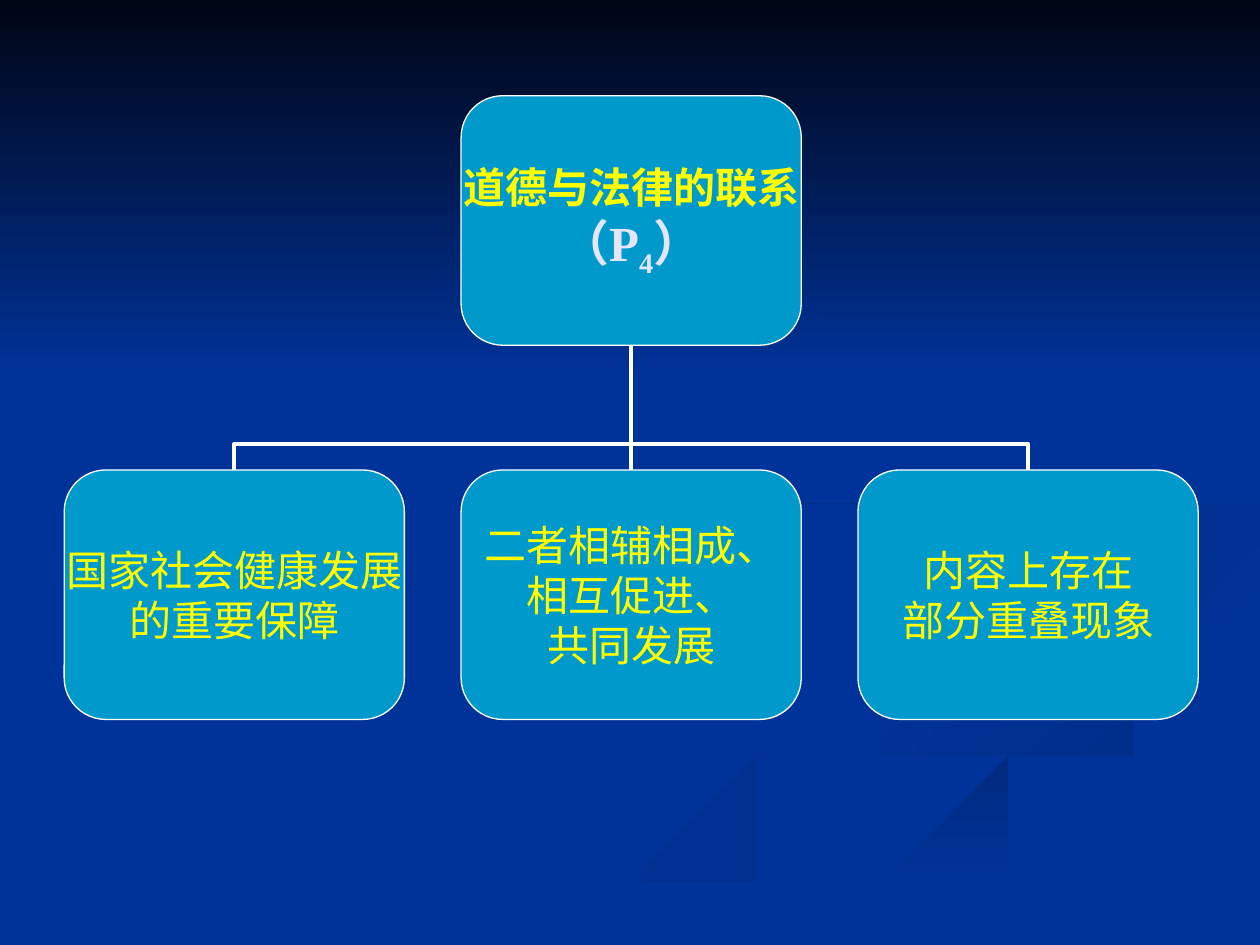
from dataclasses import dataclass

import pptx
import pptx.dml.color
import pptx.enum.shapes
import pptx.enum.text
import pptx.oxml.ns
import pptx.util
from pptx.util import Inches

Point = tuple[float, float]
Edge = tuple[Point, ...]

COLORS = {
    "blue": "003399", "night": "000514", "box": "0099CC", "white": "FFFFFF",
    "yellow": "FFFF00", "lavender": "E5E5FF", "ribbon": "002E8B",
    "band": "002A7D", "stream": "002D86", "swirl": "002B82",
}
FONT = "Times New Roman"
BOX_WIDTH, BOX_HEIGHT = 2.7, 1.98
COLUMN_LEFT, COLUMN_STEP = 0.51, 3.15
ROOT_TOP, CHILD_TOP = 0.76, 3.73
ELBOW_BEND = 0.209
CURVE_STEPS = 6


@dataclass(frozen=True)
class Wave:
    start: str
    end: str
    angle: int
    edges: tuple[Edge, ...]


@dataclass(frozen=True)
class Span:
    text: str
    size: float = 24
    color: str = "yellow"
    bold: bool = False
    subscript: bool = False


@dataclass(frozen=True)
class Node:
    column: int
    top: float
    lines: tuple[tuple[Span, ...], ...]


BAND_TOP = ((5.03, 7.49), (6.3, 6.93), (7.65, 6.47), (9.04, 6.1), (9.98, 5.81))
BAND_BOTTOM = ((9.98, 6.09), (8.21, 6.51), (6.95, 6.92), (5.71, 7.49))
STREAM_TOP = ((9.98, 4.02), (8.65, 4.24), (8, 4.42), (7.81, 4.6))
BEND = ((7.24, 4.64), (7.58, 4.98), (8.7, 5.3), (9.3, 5.53), (9.43, 5.7))

WAVES = (
    Wave("blue", "ribbon", 0, (
        ((5.75, 4.59), (5.72, 4.76), (6.54, 5.13), (7.62, 5.47), (7.86, 5.66),
         (7.59, 5.9), (6.52, 6.2), (4.58, 6.74), (3, 7.49)),
        ((3.61, 7.49), (4.99, 6.87), (6.51, 6.4), (7.69, 6.09), (8, 5.81),
         (7.67, 5.47), (6.42, 5.07), (5.75, 4.59)))),
    Wave("blue", "ribbon", 45, (
        BEND, ((9.43, 5.7), (9.32, 5.89), (8.94, 6.05)),
        ((8.94, 6.05), (9.18, 5.81), (8.92, 5.53), (7.81, 5.18), (7.24, 4.64)))),
    Wave("band", "blue", 90, (BAND_TOP, BAND_BOTTOM)),
    Wave("blue", "blue", 0, (
        BEND, ((9.43, 5.7), (9.11, 6), (7.43, 6.43), (4.77, 7.49)), BAND_TOP,
        ((9.98, 5.38), (8.32, 4.98), (7.81, 4.6)), STREAM_TOP[::-1],
        ((9.98, 3.87), (8.3, 4.15), (7.42, 4.39), (7.24, 4.64)))),
    Wave("stream", "blue", 45, (
        STREAM_TOP, ((7.81, 4.6), (7.91, 4.78), (8.26, 4.96)),
        ((8.26, 4.96), (8.05, 4.74), (8.43, 4.48), (9.98, 4.2)))),
    Wave("swirl", "blue", 45, (
        ((7.62, 2.33), (8.46, 2.79), (8.89, 3.35), (8.42, 3.78), (6.49, 4.2),
         (5.77, 4.62), (6.22, 5)),
        ((6.22, 5), (5.93, 4.7), (6.83, 4.3), (8.25, 4.02), (8.94, 3.44),
         (8.54, 2.83), (7.62, 2.33)))),
    Wave("night", "blue", 90, (((0, 0), (0, 3.08)), ((10, 3.08), (10, 0)))),
)

ROOT = Node(1, ROOT_TOP, (
    (Span("道德与法律的联系", bold=True),),
    (Span("（P", 28, "lavender", True),
     Span("4", 28, "lavender", True, True),
     Span("）", 28, "lavender", True)),
))
CHILD_LINES = (
    ("国家社会健康发展", "的重要保障"),
    ("二者相辅相成、", "相互促进、", "共同发展"),
    ("内容上存在", "部分重叠现象"),
)


def rgb(name: str) -> pptx.dml.color.RGBColor:
    return pptx.dml.color.RGBColor.from_string(COLORS[name])


def smooth(edge: Edge) -> list[Point]:
    if len(edge) == 2:
        return list(edge)
    padded = (edge[0], *edge, edge[-1])
    curve = [edge[0]]
    for before, start, end, after in zip(padded, padded[1:], padded[2:], padded[3:]):
        for step in range(1, CURVE_STEPS + 1):
            t = step / CURVE_STEPS
            curve.append(tuple(
                b + (c - a) * t / 2 + (2 * a - 5 * b + 4 * c - d) * t ** 2 / 2
                + (3 * b - a - 3 * c + d) * t ** 3 / 2
                for a, b, c, d in zip(before, start, end, after)))
    return curve


def draw_wave(page, wave: Wave) -> None:
    points = [point for edge in wave.edges for point in smooth(edge)]
    builder = page.shapes.build_freeform(*points[0], scale=Inches(1))
    builder.add_line_segments(points[1:], close=True)
    shape = builder.convert_to_shape()
    shape.shadow.inherit = False
    shape.line.fill.background()
    if wave.start == wave.end:
        shape.fill.solid()
        shape.fill.fore_color.rgb = rgb(wave.start)
        return
    shape.fill.gradient()
    shape.fill.gradient_angle = (360 - wave.angle) % 360
    for stop, position, color in zip(shape.fill.gradient_stops, (0, 1), (wave.start, wave.end)):
        stop.position = position
        stop.color.rgb = rgb(color)


def draw_node(page, node: Node):
    box = page.shapes.add_shape(
        pptx.enum.shapes.MSO_SHAPE.ROUNDED_RECTANGLE,
        Inches(COLUMN_LEFT + COLUMN_STEP * node.column), Inches(node.top),
        Inches(BOX_WIDTH), Inches(BOX_HEIGHT))
    box.adjustments[0] = 0.167
    box.shadow.inherit = False
    box.fill.solid()
    box.fill.fore_color.rgb = rgb("box")
    box.line.color.rgb = rgb("white")
    box.line.width = pptx.util.Pt(0.75)
    frame = box.text_frame
    frame.word_wrap = False
    frame.vertical_anchor = pptx.enum.text.MSO_ANCHOR.MIDDLE
    frame.margin_left = frame.margin_right = frame.margin_top = frame.margin_bottom = 0
    for index, line in enumerate(node.lines):
        para = frame.add_paragraph() if index else frame.paragraphs[0]
        para.alignment = pptx.enum.text.PP_ALIGN.CENTER
        for span in line:
            run = para.add_run()
            run.text = span.text
            run.font.name = FONT
            run.font.size = pptx.util.Pt(span.size)
            run.font.bold = span.bold
            run.font.color.rgb = rgb(span.color)
            if span.subscript:
                run.font._element.set("baseline", "-25000")
    return box


def draw_link(page, child, root, side: int) -> None:
    kinds = pptx.enum.shapes.MSO_CONNECTOR
    link = page.shapes.add_connector(kinds.ELBOW if side else kinds.STRAIGHT, 0, 0, 0, 0)
    link.begin_connect(child, 0)
    link.end_connect(root, 2)
    link.line.color.rgb = rgb("white")
    link.line.width = pptx.util.Pt(2.25)
    properties = link._element.spPr
    properties.append(properties.makeelement(pptx.oxml.ns.qn("a:effectLst"), {}))
    if side:
        rise, reach = link.height, link.width
        left, top = link.left + (reach - rise) // 2, link.top + (rise - reach) // 2
        link.left, link.top, link.width, link.height = left, top, rise, reach
        frame = properties.find(pptx.oxml.ns.qn("a:xfrm"))
        frame.set("rot", str((270 if side > 0 else 90) * 60000))
        frame.set("flipH", "0" if side > 0 else "1")
        frame.set("flipV", "1")
        guides = properties.find(".//" + pptx.oxml.ns.qn("a:avLst"))
        guides.append(guides.makeelement(pptx.oxml.ns.qn("a:gd"), {
            "name": "adj1", "fmla": f"val {round(ELBOW_BEND * 100000)}"}))


def main() -> None:
    deck = pptx.Presentation()
    deck.slide_width, deck.slide_height = Inches(10), Inches(7.5)
    page = deck.slides.add_slide(deck.slide_layouts[6])
    page.background.fill.solid()
    page.background.fill.fore_color.rgb = rgb("blue")
    for wave in WAVES:
        draw_wave(page, wave)
    root = draw_node(page, ROOT)
    for column, texts in enumerate(CHILD_LINES):
        node = Node(column, CHILD_TOP, tuple((Span(text),) for text in texts))
        draw_link(page, draw_node(page, node), root, column - ROOT.column)
    deck.save("out.pptx")


if __name__ == "__main__":
    main()
